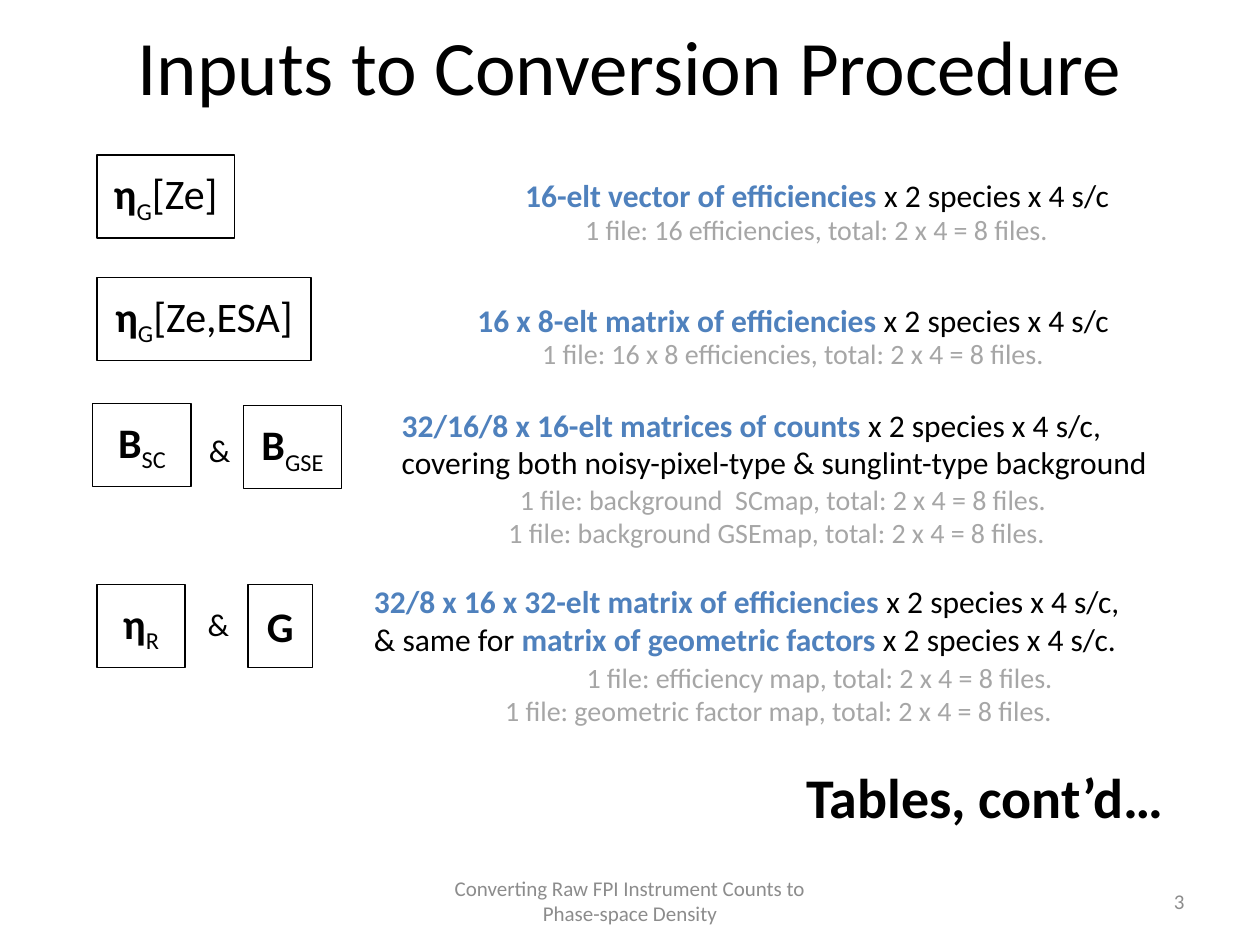
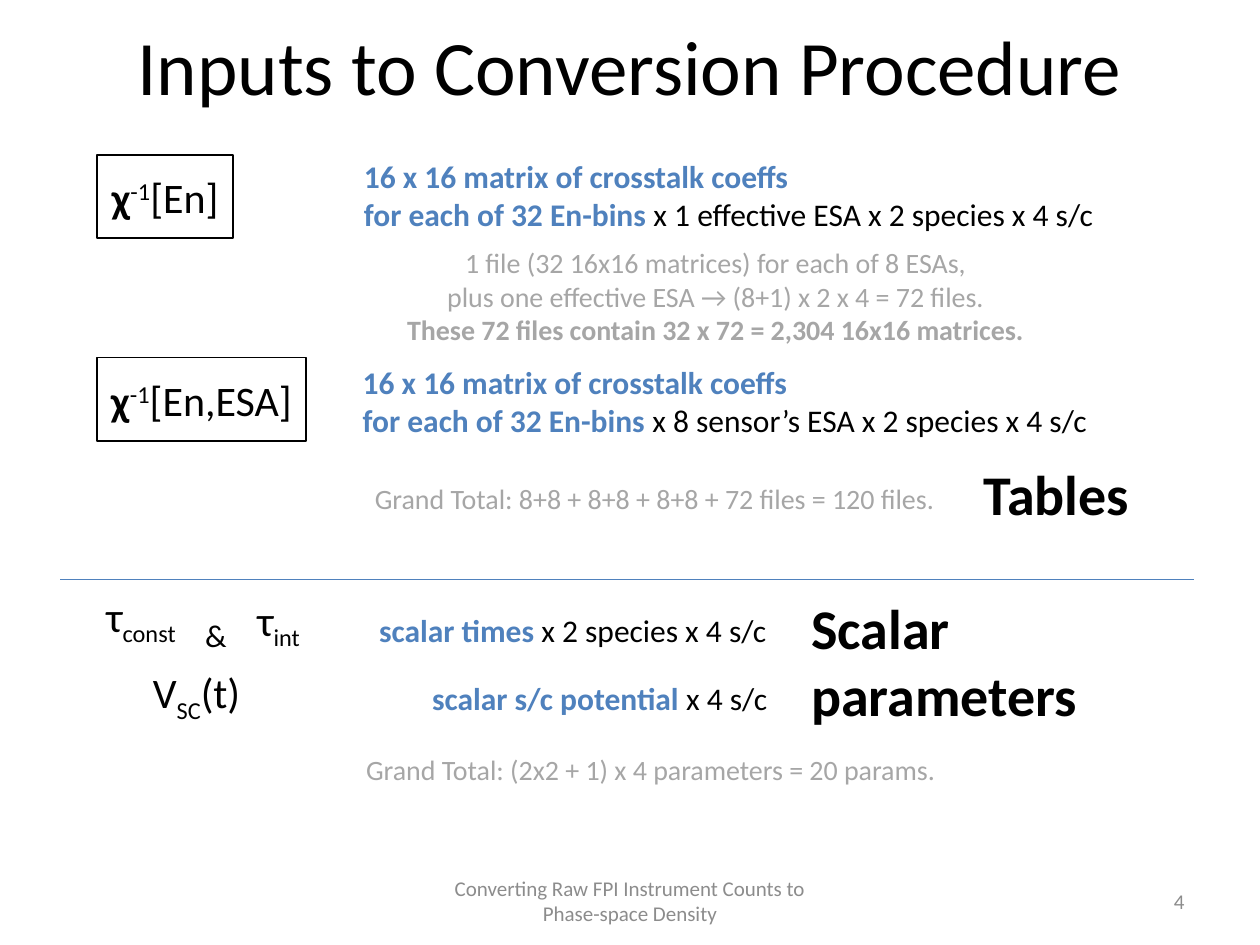
from lxml import etree
from pptx import Presentation
from pptx.dml.color import RGBColor
from pptx.enum.shapes import MSO_CONNECTOR, MSO_SHAPE
from pptx.enum.text import MSO_ANCHOR, PP_ALIGN
from pptx.oxml.ns import qn
from pptx.util import Pt

LEFT, CENTER, RIGHT = PP_ALIGN.LEFT, PP_ALIGN.CENTER, PP_ALIGN.RIGHT
TOP, MIDDLE = MSO_ANCHOR.TOP, MSO_ANCHOR.MIDDLE
RECTANGLE, STRAIGHT = MSO_SHAPE.RECTANGLE, MSO_CONNECTOR.STRAIGHT
BLACK, WHITE, BLUE, GRAY, FOOTER_GRAY = "000000", "FFFFFF", "4F81BD", "A6A6A6", "8C8C8C"
SUBSCRIPT, SUPERSCRIPT = -25, 30
SYMBOL_LEFT, SYMBOL_HEIGHT = 55.4, 47.5


def rgb(value):
    """Turn a hex string into a colour."""
    return RGBColor.from_string(value)


def styled(text, **style):
    """Pair a text with its format: size, color, bold, baseline."""
    return text, style


def key(text):
    """Format the highlighted part of a description."""
    return styled(text, color=BLUE, bold=True)


def symbol_runs(letter, index="", argument="", baseline=SUBSCRIPT, bold=True):
    """Build the runs of a symbol with its index and argument."""
    parts = [styled(letter, bold=bold), styled(index, baseline=baseline), styled(argument)]
    return [part for part in parts if part[0]]


class Deck:
    """Holds the style and the current slide."""

    font = "Calibri"
    title = "Inputs to Conversion Procedure"
    footer = "Converting Raw FPI Instrument Counts to Phase-space Density"

    def __init__(self):
        """Start an empty 10 by 7.5 inch presentation."""
        self.presentation = Presentation()
        self.presentation.slide_width, self.presentation.slide_height = Pt(720), Pt(540)
        self.slide = None

    def new_slide(self, number):
        """Add a slide with its title, footer and number."""
        self.slide = self.presentation.slides.add_slide(self.presentation.slide_layouts[6])
        self.text((36, -8, 648, 90), [self.title], size=44, align=CENTER, anchor=MIDDLE)
        for box, text, align in (((246, 500.5, 228, 28.7), self.footer, CENTER),
                                 ((516, 500.5, 168, 28.7), str(number), RIGHT)):
            self.text(box, [text], size=12, color=FOOTER_GRAY, align=align, anchor=MIDDLE)

    def fill_text(self, shape, lines, size=18, color=BLACK, bold=False, align=LEFT,
                  anchor=TOP, wrap=True, spacing=None):
        """Write lines, each a string or a list of styled runs."""
        frame = shape.text_frame
        frame.word_wrap, frame.vertical_anchor = wrap, anchor
        for index, line in enumerate(lines):
            paragraph = frame.add_paragraph() if index else frame.paragraphs[0]
            paragraph.alignment = align
            if spacing:
                paragraph.line_spacing = spacing
            for text, style in [styled(line)] if isinstance(line, str) else line:
                run = paragraph.add_run()
                run.text = text
                run.font.name = self.font
                run.font.size = Pt(style.get("size", size))
                run.font.bold = style.get("bold", bold)
                run.font.color.rgb = rgb(style.get("color", color))
                if "baseline" in style:
                    run.font._element.set("baseline", str(style["baseline"] * 1000))

    def text(self, box, lines, **style):
        """Add a text box."""
        self.fill_text(self.slide.shapes.add_textbox(*map(Pt, box)), lines, **style)

    def symbol(self, left, top, width, runs, outlined=True):
        """Add a half-transparent box around a symbol."""
        box = map(Pt, (left, top, width, SYMBOL_HEIGHT))
        shape = self.slide.shapes.add_shape(RECTANGLE, *box)
        shape.shadow.inherit = False
        shape.fill.solid()
        shape.fill.fore_color.rgb = rgb(WHITE)
        color = shape._element.spPr.find(qn("a:solidFill"))[0]
        etree.SubElement(color, qn("a:alpha")).set("val", "50000")
        if outlined:
            shape.line.color.rgb = rgb(BLACK)
            shape.line.width = Pt(0.75)
        else:
            shape.line.fill.background()
        self.fill_text(shape, [runs], size=24, align=CENTER, anchor=MIDDLE, wrap=False)

    def bare_symbol(self, left, top, width, runs):
        """Add a symbol without a box."""
        self.text((left, top, width, 42.5), [runs], size=24, align=CENTER, anchor=MIDDLE,
                  spacing=1.3)

    def ampersand(self, left, top):
        """Add the sign that joins two symbols."""
        self.text((left, top, 26.6, 29), ["&"], wrap=False)

    def description(self, left, top, width, *lines):
        """Add the description of an input."""
        self.text((left, top, width, 7 + 22 * len(lines)), lines)

    def note(self, left, top, width, *lines):
        """Add a gray centred file count."""
        self.text((left, top, width, 7 + 19.5 * len(lines)), lines, size=16, color=GRAY,
                  align=CENTER)

    def heading(self, left, top, width, *lines):
        """Add a large bold group name."""
        self.text((left, top, width, 7 + 39 * len(lines)), lines, size=32, bold=True, wrap=False)

    def rule(self, left, right, top):
        """Add a horizontal dividing line."""
        line = self.slide.shapes.add_connector(STRAIGHT, Pt(left), Pt(top), Pt(right), Pt(top))
        line.line.color.rgb = rgb(BLUE)
        line.line.width = Pt(1)
        etree.SubElement(line._element.spPr, qn("a:effectLst"))


def efficiency_slide(deck):
    """Build the slide on efficiencies, background and geometric factors."""
    deck.new_slide(3)
    for left, top, width, runs in (
            (SYMBOL_LEFT, 158.4, 122.4, symbol_runs("η", "G", "[Ze,ESA]")),
            (SYMBOL_LEFT, 88.6, 78.5, symbol_runs("η", "G", "[Ze]")),
            (53, 230.4, 56.2, symbol_runs("B", "SC")),
            (SYMBOL_LEFT, 334, 50.4, symbol_runs("η", "R")),
            (139, 231.8, 56.2, symbol_runs("B", "GSE")),
            (141.8, 334, 36.7, symbol_runs("G"))):
        deck.symbol(left, top, width, runs)
    deck.ampersand(112.3, 242.6)
    deck.ampersand(111.6, 342)

    species = styled(" x 2 species x 4 s/c")
    species_comma = styled(" x 2 species x 4 s/c,")
    deck.description(293, 97.2, 360.7, [key("16-elt vector of efficiencies"), species])
    deck.description(265.7, 168.5, 388.8, [key("16 x 8-elt matrix of efficiencies"), species])
    deck.description(222.5, 228.2, 463,
                     [key("32/16/8 x 16-elt matrices of counts"), species_comma],
                     "covering both noisy-pixel-type & sunglint-type background")
    deck.description(206.6, 329, 478.8,
                     [key("32/8 x 16 x 32-elt matrix of efficiencies"), species_comma],
                     [styled("& same for "), key("matrix of geometric factors"),
                      styled(" x 2 species x 4 s/c.")])
    deck.heading(453.6, 432, 227.5, "Tables, cont’d…")
    for left, top, width, content in (
            (326.9, 118, 279.4, "16 efficiencies"),
            (300.2, 188.6, 306, "16 x 8 efficiencies"),
            (288.7, 272.2, 317.5, "background  SCmap"),
            (281.5, 290.9, 324.7, "background GSEmap"),
            (323.3, 373.7, 290.2, "efficiency map"),
            (274.3, 393, 341.3, "geometric factor map")):
        deck.note(left, top, width, f"1 file: {content}, total: 2 x 4 = 8 files.")


def crosstalk_slide(deck):
    """Build the slide on crosstalk matrices and scalar parameters."""
    deck.new_slide(4)
    for symbol_top, width, argument, left, top, tail in (
            (88.6, 77.8, "[En]", 200.9, 86.4, " x 1 effective ESA x 2 species x 4 s/c"),
            (204.5, 119.5, "[En,ESA]", 200.2, 203.8, " x 8 sensor’s ESA x 2 species x 4 s/c")):
        deck.symbol(SYMBOL_LEFT, symbol_top, width,
                    symbol_runs("χ", "-1", argument, baseline=SUPERSCRIPT))
        deck.description(left, top, 449, [key("16 x 16 matrix of crosstalk coeffs")],
                         [key("for each of 32 En-bins"), styled(tail)])
    deck.note(223.2, 136.8, 371.5,
              "1 file (32 16x16 matrices) for each of 8 ESAs,",
              "plus one effective ESA → (8+1) x 2 x 4 = 72 files.",
              [styled("These 72 files contain 32 x 72 = 2,304 16x16 matrices.", bold=True)])
    deck.note(200.2, 271.4, 347.8, "Grand Total: 8+8 + 8+8 + 8+8 + 72 files = 120 files.")
    deck.heading(555.1, 259.2, 100.8, "Tables")

    deck.rule(34.5, 682.5, 331.2)

    deck.symbol(68.4, 373.7, 87.8, symbol_runs("V", "SC", "(t)", bold=False), outlined=False)
    deck.bare_symbol(47.5, 327.6, 66.2, symbol_runs("τ", "const", bold=False))
    deck.bare_symbol(134, 329.8, 50.4, symbol_runs("τ", "int", bold=False))
    deck.ampersand(110.2, 348.5)
    deck.description(209.5, 345.6, 240, [key("scalar times"), styled(" x 2 species x 4 s/c")])
    deck.description(239.8, 384.5, 212, [key("scalar s/c potential"), styled(" x 4 s/c")])
    deck.heading(456.5, 335.5, 170, "Scalar", "parameters")
    deck.note(198, 426.2, 347.8, "Grand Total: (2x2 + 1) x 4 parameters = 20 params.")


def main():
    """Build and save the presentation."""
    deck = Deck()
    efficiency_slide(deck)
    crosstalk_slide(deck)
    deck.presentation.save("out.pptx")


main()
